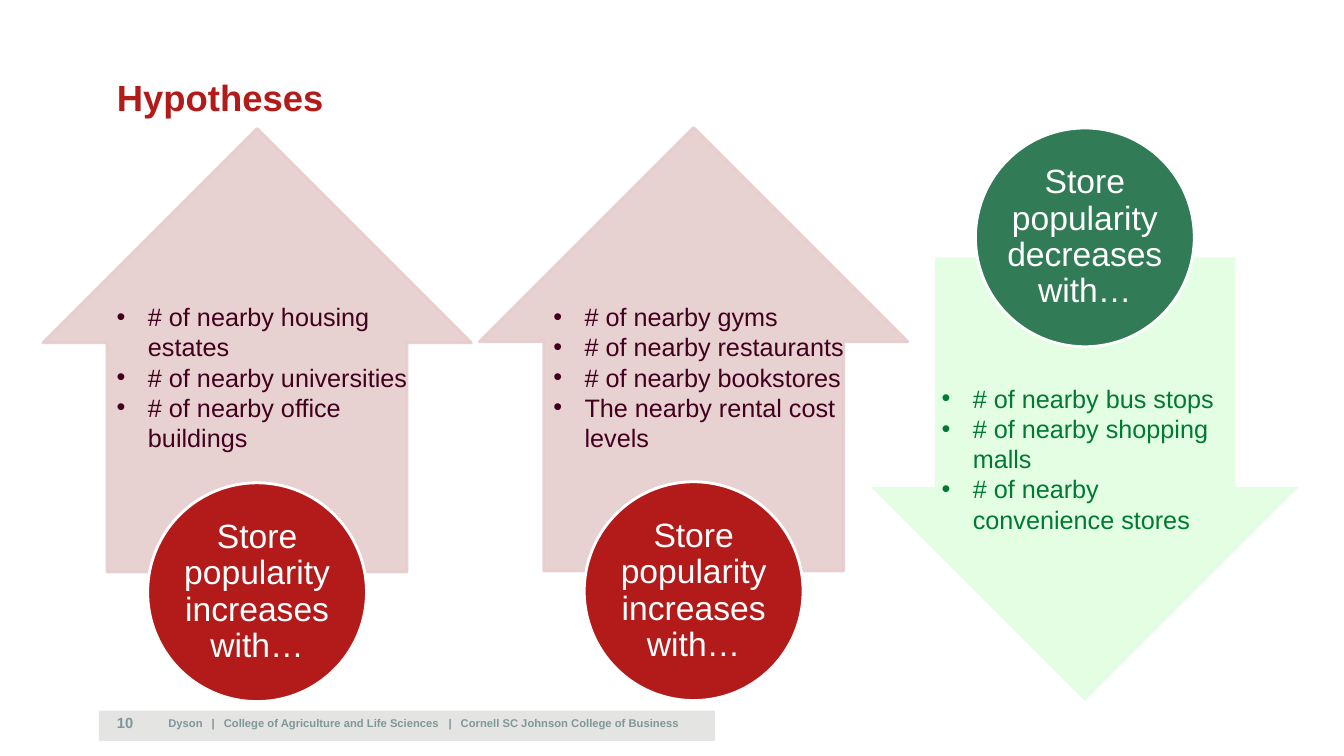
from dataclasses import dataclass
from lxml.etree import SubElement
from pptx import Presentation
from pptx.dml.color import RGBColor
from pptx.enum.shapes import MSO_SHAPE
from pptx.enum.text import MSO_ANCHOR, PP_ALIGN
from pptx.oxml.ns import qn
from pptx.util import Inches, Pt

WHITE = RGBColor(0xFF, 0xFF, 0xFF)
RED = RGBColor(0xB3, 0x1B, 0x1B)
ROSE = RGBColor(0xE5, 0xCD, 0xCD)
PLUM = RGBColor(0x42, 0x00, 0x1F)
GREEN = RGBColor(0x31, 0x7B, 0x57)
LIME = RGBColor(0x00, 0xFA, 0x00)
DARK_GREEN = RGBColor(0x00, 0x7A, 0x33)
FOOTER_GREY = RGBColor(0xE4, 0xE4, 0xE3)
SLATE = RGBColor(0x80, 0x96, 0x99)

ARROW_LENGTH, ARROW_SPAN = 4.4, 4.25
CIRCLE_SIZE = 2.17
LABEL_WIDTH, LABEL_HEIGHT = 1.6, 1.54
LIST_HEIGHT = 1.62


@dataclass
class Palette:
    arrow: RGBColor
    opacity: int
    outlined: bool
    circle: RGBColor
    text: RGBColor


INCREASE = Palette(ROSE, 90, True, RED, PLUM)
DECREASE = Palette(LIME, 11, False, GREEN, DARK_GREEN)

HYPOTHESES = [
    (INCREASE, 270, (0.35, 1.35), 4.79, (1.06, 2.94, 3.17),
     "Store popularity increases with…",
     ["# of nearby housing estates", "# of nearby universities",
      "# of nearby office buildings"]),
    (INCREASE, 270, (4.68, 1.34), 4.78, (5.39, 2.94, 3.24),
     "Store popularity increases with…",
     ["# of nearby gyms", "# of nearby restaurants",
      "# of nearby bookstores", "The nearby rental cost levels"]),
    (DECREASE, 90, (8.56, 2.63), 1.27, (9.24, 3.75, 2.98),
     "Store popularity decreases with…",
     ["# of nearby bus stops", "# of nearby shopping malls",
      "# of nearby convenience stores"]),
]


def add_filled_shape(slide, kind, left, top, width, height, fill, line=None):
    shape = slide.shapes.add_shape(
        kind, Inches(left), Inches(top), Inches(width), Inches(height))
    shape.shadow.inherit = False
    shape.fill.solid()
    shape.fill.fore_color.rgb = fill
    if line is None:
        shape.line.fill.background()
    else:
        shape.line.color.rgb = line
        shape.line.width = Pt(2)
    return shape


def set_opacity(shape, percent):
    for color in shape.element.spPr.iter(qn("a:srgbClr")):
        SubElement(color, qn("a:alpha"), val=str(percent * 1000))


def add_text_frame(slide, left, top, width, height, margins=(0, 0, 0, 0.05),
                   anchor=MSO_ANCHOR.TOP):
    box = slide.shapes.add_textbox(
        Inches(left), Inches(top), Inches(width), Inches(height))
    frame = box.text_frame
    frame.word_wrap = True
    frame.vertical_anchor = anchor
    (frame.margin_left, frame.margin_top,
     frame.margin_right, frame.margin_bottom) = map(Inches, margins)
    return frame


def add_run(paragraph, text, size, color, bold=False):
    run = paragraph.add_run()
    run.text = text
    run.font.name = "Arial"
    run.font.size = Pt(size)
    run.font.bold = bold
    run.font.color.rgb = color


def add_bullet(paragraph):
    properties = paragraph._p.get_or_add_pPr()
    properties.set("marL", str(Inches(0.31)))
    properties.set("indent", str(Inches(-0.31)))
    SubElement(properties, qn("a:buFont"), typeface="Arial")
    SubElement(properties, qn("a:buChar"), char="•")


def add_tab_stops(paragraph, positions):
    tabs = SubElement(paragraph._p.get_or_add_pPr(), qn("a:tabLst"))
    for position in positions:
        SubElement(tabs, qn("a:tab"), pos=str(Inches(position)), algn="l")


def add_arrow(slide, left, top, rotation, palette):
    arrow = add_filled_shape(
        slide, MSO_SHAPE.RIGHT_ARROW, left, top, ARROW_LENGTH, ARROW_SPAN,
        palette.arrow, palette.arrow if palette.outlined else None)
    arrow.adjustments[0] = 0.7
    arrow.adjustments[1] = 0.5
    arrow.rotation = rotation
    set_opacity(arrow, palette.opacity)


def add_circle(slide, center, top, color, label):
    add_filled_shape(slide, MSO_SHAPE.OVAL, center - CIRCLE_SIZE / 2, top,
                     CIRCLE_SIZE, CIRCLE_SIZE, color, WHITE)
    frame = add_text_frame(
        slide, center - LABEL_WIDTH / 2, top + (CIRCLE_SIZE - LABEL_HEIGHT) / 2,
        LABEL_WIDTH, LABEL_HEIGHT, (0.02,) * 4, MSO_ANCHOR.MIDDLE)
    paragraph = frame.paragraphs[0]
    paragraph.alignment = PP_ALIGN.CENTER
    paragraph.line_spacing = 0.9
    add_run(paragraph, label, 24, WHITE)


def add_bullet_list(slide, left, top, width, color, items):
    frame = add_text_frame(slide, left, top, width, LIST_HEIGHT,
                           (0.1, 0.05, 0.1, 0.05))
    for index, item in enumerate(items):
        paragraph = frame.add_paragraph() if index else frame.paragraphs[0]
        add_bullet(paragraph)
        add_run(paragraph, item, 18, color)


def add_footer(slide):
    add_filled_shape(slide, MSO_SHAPE.RECTANGLE, 0.98, 7.05, 6.11, 0.3, FOOTER_GREY)
    margins = (0, 0.05, 0, 0.05)
    number = add_text_frame(slide, 1.16, 7.03, 0.51, 0.28, margins, MSO_ANCHOR.BOTTOM)
    add_run(number.paragraphs[0], "10", 10.5, SLATE, True)
    school = add_text_frame(slide, 1.67, 7.05, 9.33, 0.24, margins, MSO_ANCHOR.BOTTOM)
    paragraph = school.paragraphs[0]
    add_tab_stops(paragraph, [0.43, 0.55, 2.78, 2.9])
    add_run(paragraph, "Dyson\t|\tCollege of Agriculture and Life Sciences\t|\t"
            "Cornell SC Johnson College of Business", 8, SLATE, True)


def main():
    presentation = Presentation()
    presentation.slide_width = Inches(13.33)
    presentation.slide_height = Inches(7.5)
    slide = presentation.slides.add_slide(presentation.slide_layouts[6])
    add_footer(slide)
    title = add_text_frame(slide, 1.16, 0.75, 11.18, 1)
    add_run(title.paragraphs[0], "Hypotheses", 26, RED, True)
    for palette, rotation, (left, top), circle_top, place, label, items in HYPOTHESES:
        add_arrow(slide, left, top, rotation, palette)
        add_circle(slide, left + ARROW_LENGTH / 2, circle_top, palette.circle, label)
        add_bullet_list(slide, *place, palette.text, items)
    presentation.save("out.pptx")


if __name__ == "__main__":
    main()
